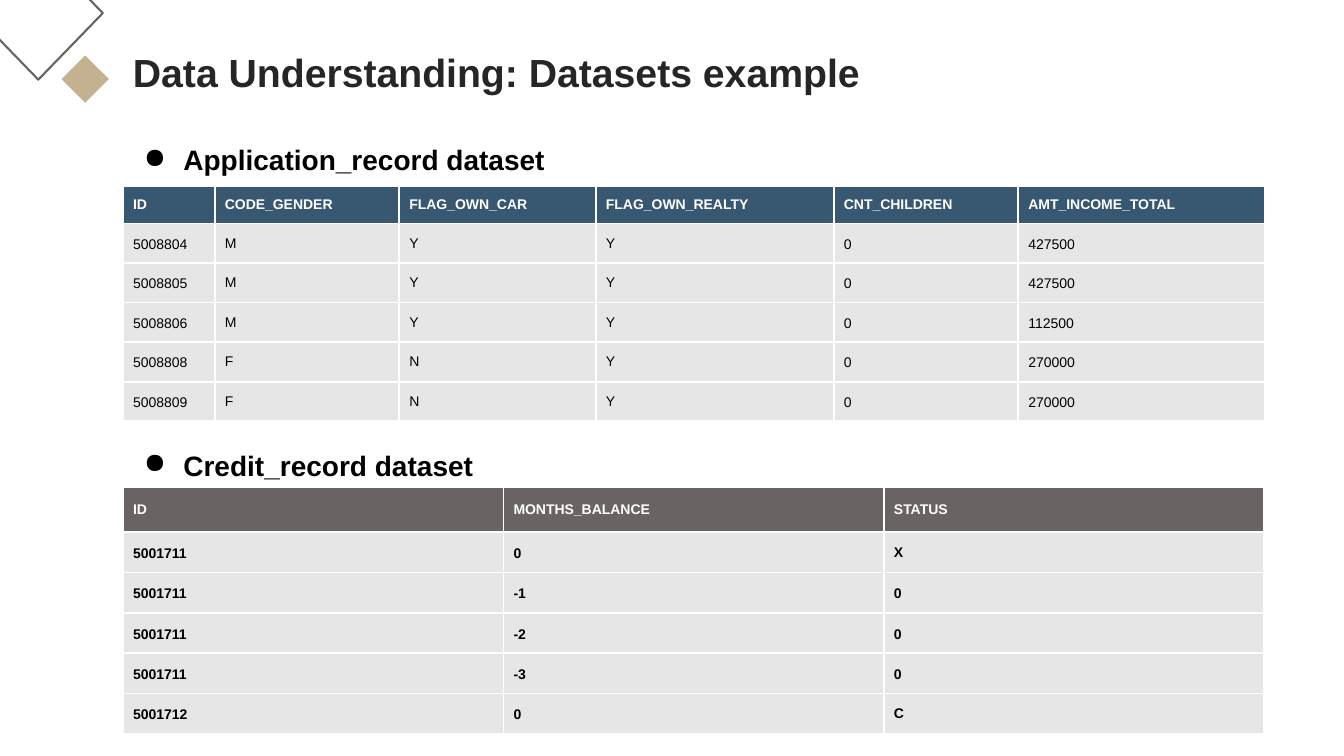
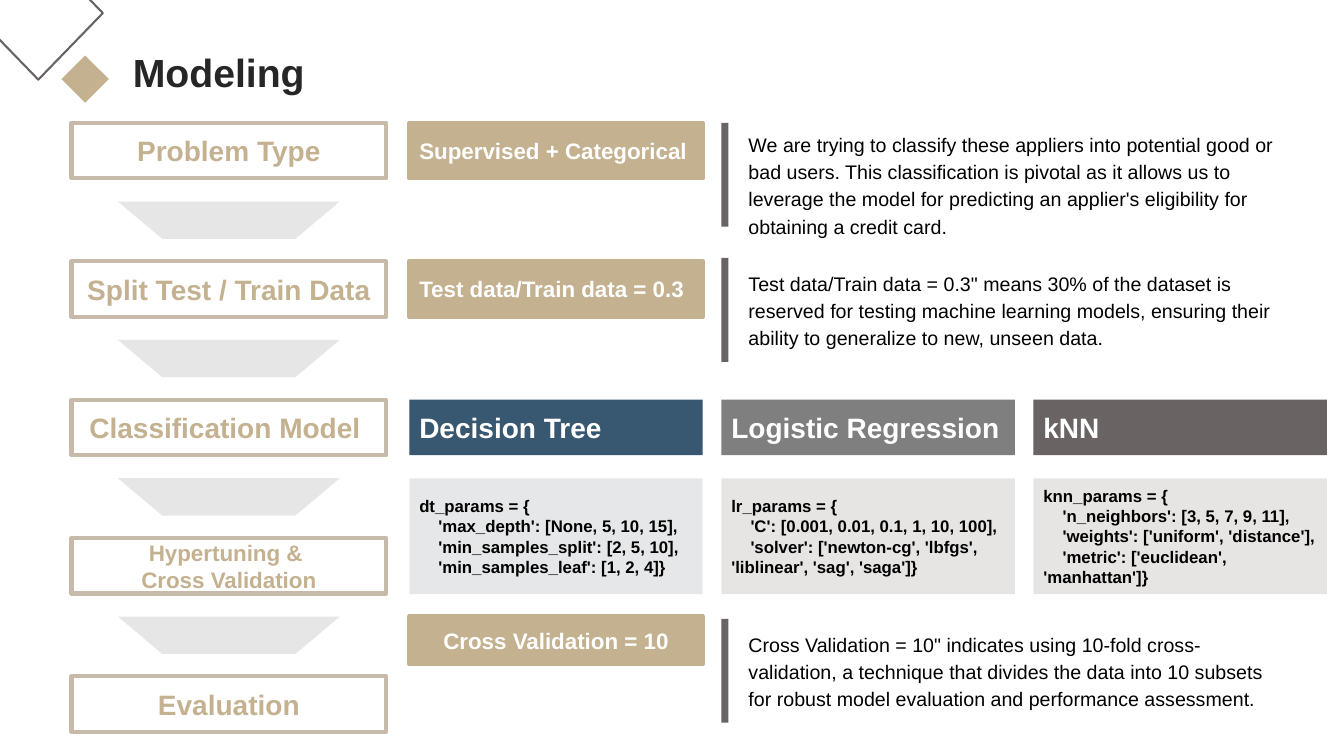
from pptx import Presentation, util as u
from pptx.dml.color import RGBColor
from pptx.enum import shapes, text
from pptx.oxml import parse_xml
from pptx.oxml.ns import nsdecls

# Theme shared by both slides
THEME = {
    "font": "Arial",
    "colors": {"sand": "C4B190", "frame": "C7BAA8", "ink": "262626", "black": "000000",
               "white": "FFFFFF", "navy": "385770", "brown": "696363", "gray": "7F7F7F",
               "pale": "E7E6E6", "cool": "E6E7E8", "warm": "E7E5E4"},
    "sizes": {"title": 28, "heading": 20, "label": 16, "body": 14, "code": 12, "cell": 10},
}
SLIDE_SIZE = (13.33, 7.5)
INSET = 0.1
KIND = shapes.MSO_SHAPE
ALIGN = text.PP_ALIGN
ANCHOR = text.MSO_ANCHOR

# Content: datasets
TABLE_LEFT, TABLE_WIDTH = 1.22, 11.32
DATASETS = [
    {"heading": "Application_record dataset", "heading_top": 1.15, "top": 1.85,
     "color": "navy", "bold": False, "columns": [0.91, 1.83, 1.95, 2.36, 1.83, 2.45],
     "row_heights": (0.35, 0.37),
     "rows": [("ID", "CODE_GENDER", "FLAG_OWN_CAR", "FLAG_OWN_REALTY",
               "CNT_CHILDREN", "AMT_INCOME_TOTAL"),
              ("5008804", "M", "Y", "Y", "0", "427500"),
              ("5008805", "M", "Y", "Y", "0", "427500"),
              ("5008806", "M", "Y", "Y", "0", "112500"),
              ("5008808", "F", "N", "Y", "0", "270000"),
              ("5008809", "F", "N", "Y", "0", "270000")]},
    {"heading": "Credit_record dataset", "heading_top": 4.18, "top": 4.83,
     "color": "brown", "bold": True, "columns": [TABLE_WIDTH / 3] * 3,
     "row_heights": (0.45, 0.4),
     "rows": [("ID", "MONTHS_BALANCE", "STATUS"),
              ("5001711", "0", "X"),
              ("5001711", "-1", "0"),
              ("5001711", "-2", "0"),
              ("5001711", "-3", "0"),
              ("5001712", "0", "C")]},
]

# Content: modeling
STEPS = [
    (["Problem Type"], "heading"),
    (["Split Test / Train Data"], "heading"),
    (["Classification Model "], "heading"),
    (["Hypertuning & ", "Cross Validation"], "label"),
    (["Evaluation"], "heading"),
]
# (text, step, rows below the step, height, alignment)
SETTINGS = [
    ("Supervised + Categorical", 0, 0, 0.55, ALIGN.LEFT),
    ("Test data/Train data = 0.3", 1, 0, 0.55, ALIGN.LEFT),
    ("Cross Validation = 10", 3, 0.78, 0.47, ALIGN.CENTER),
]
# (text, bar top, text top, anchor)
NOTES = [
    ("We are trying to classify these appliers into potential good or bad users. "
     "This classification is pivotal as it allows us to leverage the model for "
     "predicting an applier's eligibility for obtaining a credit card.",
     1.22, 1.31, ANCHOR.MIDDLE),
    ("Test data/Train data = 0.3\" means 30% of the dataset is reserved for testing "
     "machine learning models, ensuring their ability to generalize to new, unseen data.",
     2.56, 2.56, ANCHOR.TOP),
    ("Cross Validation = 10\" indicates using 10-fold cross-validation, a technique that "
     "divides the data into 10 subsets for robust model evaluation and performance "
     "assessment.", 6.14, 6.14, ANCHOR.TOP),
]
MODELS = [
    ("Decision Tree", "navy", "cool",
     ["dt_params = {", "'max_depth': [None, 5, 10, 15],",
      "'min_samples_split': [2, 5, 10],", "'min_samples_leaf': [1, 2, 4]}"]),
    ("Logistic Regression", "gray", "warm",
     ["lr_params = {", "'C': [0.001, 0.01, 0.1, 1, 10, 100],",
      "'solver': ['newton-cg', 'lbfgs', 'liblinear', 'sag', 'saga']}"]),
    ("kNN", "brown", "warm",
     ["knn_params = {", "'n_neighbors': [3, 5, 7, 9, 11],",
      "'weights': ['uniform', 'distance'],", "'metric': ['euclidean', 'manhattan']}"]),
]

# Modeling grid
STEP_LEFT, STEP_WIDTH, BOX_HEIGHT = 0.71, 3.12, 0.55
FIRST_ROW, LAST_ROW = 1.22, 6.71
ROW_PITCH = (LAST_ROW - FIRST_ROW) / (len(STEPS) - 1)
BELOW = 0.78
MODEL_LEFT, MODEL_WIDTH = 4.06, 2.91
MODEL_PITCH = (10.25 - MODEL_LEFT) / (len(MODELS) - 1)
NOTE_LEFT, NOTE_HEIGHT = MODEL_LEFT + MODEL_PITCH, 1.03


def color(name):
    return RGBColor.from_string(THEME["colors"][name])


def inches(values):
    return [u.Inches(value) for value in values]


def set_all(target, values):
    for name, value in values.items():
        setattr(target, name, value)


def write(frame, lines, size, ink, bold=False, anchor=ANCHOR.MIDDLE, inset_y=INSET, **layout):
    """Fill a text frame with one paragraph for each line."""
    set_all(frame, {"word_wrap": True, "vertical_anchor": anchor,
                    "margin_left": u.Inches(INSET), "margin_right": u.Inches(INSET),
                    "margin_top": u.Inches(inset_y), "margin_bottom": u.Inches(inset_y)})
    for index, line in enumerate(lines):
        paragraph = frame.paragraphs[0] if index == 0 else frame.add_paragraph()
        set_all(paragraph, {"alignment": ALIGN.LEFT, **layout})
        run = paragraph.add_run()
        run.text = line
        set_all(run.font, {"name": THEME["font"], "size": u.Pt(THEME["sizes"][size]),
                           "bold": bold})
        run.font.color.rgb = color(ink)


def add_box(slide, kind, place, fill=None, line=None, weight=3):
    shape = slide.shapes.add_shape(kind, *inches(place))
    shape.shadow.inherit = False
    if fill:
        shape.fill.solid()
        shape.fill.fore_color.rgb = color(fill)
    else:
        shape.fill.background()
    if line:
        shape.line.color.rgb = color(line)
        shape.line.width = u.Pt(weight)
    else:
        shape.line.fill.background()
    return shape


def add_text(slide, place, *args, **options):
    frame = slide.shapes.add_textbox(*inches(place)).text_frame
    write(frame, *args, **options)
    return frame


def indent(paragraph, first, left=0):
    properties = paragraph._p.get_or_add_pPr()
    properties.set("marL", str(u.Inches(left)))
    properties.set("indent", str(u.Inches(first)))
    return properties


def add_bullet(paragraph):
    properties = indent(paragraph, -0.39, 0.5)
    for xml in (f'<a:buClr {nsdecls("a")}><a:srgbClr val="{THEME["colors"]["black"]}"/></a:buClr>',
                f'<a:buChar {nsdecls("a")} char="●"/>'):
        properties.append(parse_xml(xml))


def add_borders(cell):
    properties = cell._tc.get_or_add_tcPr()
    for side in "LRTB":
        properties.append(parse_xml(
            f'<a:ln{side} {nsdecls("a")} w="{u.Pt(1.5)}"><a:solidFill>'
            f'<a:srgbClr val="{THEME["colors"]["white"]}"/></a:solidFill></a:ln{side}>'))


def add_slide(presentation, title):
    """Blank slide with the diamonds and title."""
    slide = presentation.slides.add_slide(presentation.slide_layouts[6])
    add_box(slide, KIND.DIAMOND, (0.61, 0.55, 0.47, 0.47), "sand")
    add_text(slide, (1.22, 0.43, 8.87, 0.57), [title], "title", "ink", True,
             ANCHOR.TOP, inset_y=0.05)
    add_box(slide, KIND.DIAMOND, (-0.26, -0.53, 1.28, 1.32), line="brown", weight=1.5)
    return slide


def add_dataset(slide, dataset):
    frame = add_text(slide, (TABLE_LEFT, dataset["heading_top"], 5.8, 0.54),
                     [dataset["heading"]], "heading", "black", True, ANCHOR.TOP,
                     line_spacing=1.5, space_before=u.Pt(10))
    add_bullet(frame.paragraphs[0])

    rows, columns = dataset["rows"], dataset["columns"]
    header_height, body_height = dataset["row_heights"]
    heights = [header_height] + [body_height] * (len(rows) - 1)
    place = (TABLE_LEFT, dataset["top"], sum(columns), sum(heights))
    table = slide.shapes.add_table(len(rows), len(columns), *inches(place)).table
    table.horz_banding = False
    for column, width in zip(table.columns, columns):
        column.width = u.Inches(width)
    for row_index, (row, height) in enumerate(zip(rows, heights)):
        table.rows[row_index].height = u.Inches(height)
        header = row_index == 0
        for column_index, value in enumerate(row):
            cell = table.cell(row_index, column_index)
            add_borders(cell)
            cell.fill.solid()
            cell.fill.fore_color.rgb = color(dataset["color"] if header else "pale")
            set_all(cell, {"vertical_anchor": ANCHOR.MIDDLE, "margin_left": u.Inches(INSET),
                           "margin_right": u.Inches(INSET), "margin_top": u.Inches(INSET),
                           "margin_bottom": u.Inches(INSET)})
            # Numbers are set slightly looser than letters
            spacing = 1.15 if value.lstrip("-").isdigit() else 1.0
            write(cell.text_frame, [value], "cell", "white" if header else "black",
                  header or dataset["bold"], line_spacing=spacing)


def add_steps(slide):
    for index, (lines, size) in enumerate(STEPS):
        top = FIRST_ROW + index * ROW_PITCH
        box = add_box(slide, KIND.RECTANGLE, (STEP_LEFT, top, STEP_WIDTH, BOX_HEIGHT),
                      line="frame")
        write(box.text_frame, lines, size, "sand", True, alignment=ALIGN.CENTER)
        if index < len(STEPS) - 1:
            add_box(slide, KIND.FLOWCHART_MANUAL_OPERATION, (1.17, top + BELOW, 2.2, 0.37), "pale")


def add_settings(slide):
    for label, step, offset, height, alignment in SETTINGS:
        top = FIRST_ROW + step * ROW_PITCH + offset
        box = add_box(slide, KIND.RECTANGLE, (MODEL_LEFT, top, MODEL_WIDTH, height),
                      "sand", "sand")
        write(box.text_frame, [label], "label", "white", True, alignment=alignment)


def add_models(slide):
    top = FIRST_ROW + 2 * ROW_PITCH
    for index, (name, header_fill, code_fill, code) in enumerate(MODELS):
        left = MODEL_LEFT + index * MODEL_PITCH
        header = add_box(slide, KIND.RECTANGLE, (left, top, MODEL_WIDTH, BOX_HEIGHT), header_fill)
        write(header.text_frame, [name], "heading", "white", True)
        box = add_box(slide, KIND.RECTANGLE, (left, top + BELOW, MODEL_WIDTH, 1.15), code_fill)
        write(box.text_frame, code, "code", "black", True)
        for paragraph in box.text_frame.paragraphs[1:]:
            indent(paragraph, 0.19)


def add_notes(slide):
    for note, bar_top, text_top, anchor in NOTES:
        add_box(slide, KIND.RECTANGLE, (NOTE_LEFT, bar_top, 0.07, NOTE_HEIGHT), "brown")
        add_text(slide, (NOTE_LEFT + 0.17, text_top, 5.41, NOTE_HEIGHT), [note],
                 "body", "black", anchor=anchor, line_spacing=1.15)


def main():
    presentation = Presentation()
    presentation.slide_width, presentation.slide_height = inches(SLIDE_SIZE)

    datasets_slide = add_slide(presentation, "Data Understanding: Datasets example")
    for dataset in DATASETS:
        add_dataset(datasets_slide, dataset)

    modeling_slide = add_slide(presentation, "Modeling")
    for add_part in (add_steps, add_settings, add_models, add_notes):
        add_part(modeling_slide)

    presentation.save("out.pptx")


if __name__ == "__main__":
    main()
